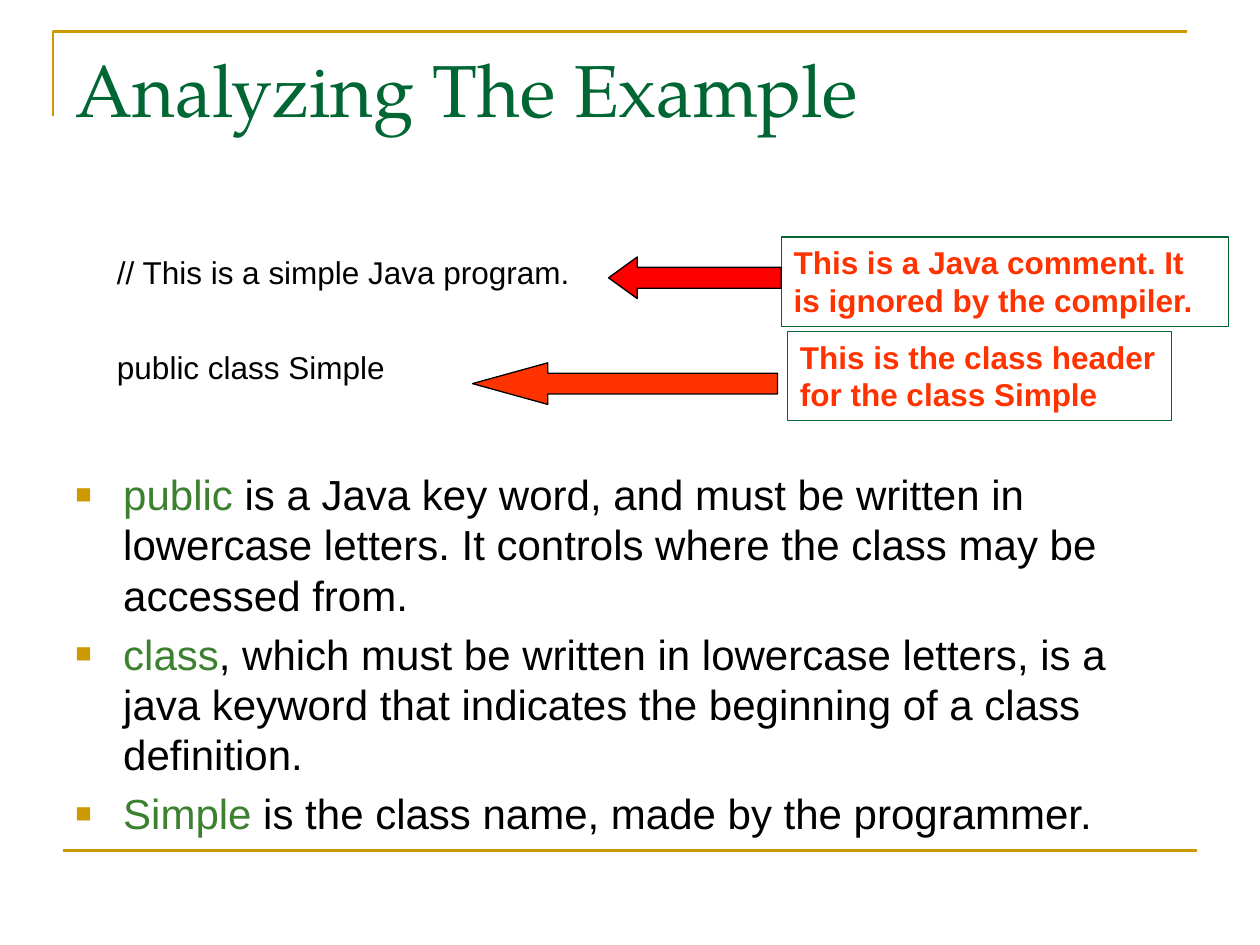
from lxml.etree import SubElement
from pptx import Presentation
from pptx.dml.color import RGBColor
from pptx.enum.shapes import MSO_CONNECTOR, MSO_SHAPE
from pptx.enum.text import MSO_ANCHOR, PP_ALIGN
from pptx.oxml.ns import qn
from pptx.util import Inches, Pt

# Content
COLORS = {"gold": "CC9900", "title": "006633", "keyword": "3B812F",
          "text": "000000", "note": "FF3300", "red": "FF0000"}
TITLE = "Analyzing The Example"
CODE = [  # text, left, top, width, height
    ("// This is a simple Java program.", 0.83, 1.96, 4.54, 0.58),
    ("public class Simple", 0.83, 2.71, 3.25, 0.58),
]
CALLOUTS = [  # note, its box, arrow box, arrow head ratio, arrow color
    ("This is a Java comment. It is ignored by the compiler.",
     (6.2, 1.88, 3.55, 0.71), (4.83, 2.04, 1.37, 0.33), 0.69, "red"),
    ("This is the class header\vfor the class Simple",
     (6.25, 2.63, 3.05, 0.71), (3.75, 2.88, 2.42, 0.33), 1.81, "note"),
]
POINTS = [  # keyword, explanation
    ("public", " is a Java key word, and must be written in lowercase letters. "
               "It controls where the class may be accessed from."),
    ("class", ", which must be written in lowercase letters, is a java keyword "
              "that indicates the beginning of a class definition."),
    ("Simple", " is the class name, made by the programmer."),
]


def rgb(name):
    return RGBColor.from_string(COLORS[name])


def box(left, top, width, height):
    return [Inches(v) for v in (left, top, width, height)]


def write(frame, paragraphs, size=18, font="Arial", bold=False, before=0, bullet=False):
    """Fill a frame; each paragraph is a list of (text, color) runs."""
    frame.word_wrap = True
    frame.vertical_anchor = MSO_ANCHOR.TOP
    for i, runs in enumerate(paragraphs):
        par = frame.add_paragraph() if i else frame.paragraphs[0]
        par.alignment = PP_ALIGN.LEFT
        par.space_before = Pt(before)
        for text, color in runs:
            # A vertical tab marks a line break
            for j, part in enumerate(text.split("\v")):
                if j:
                    par.add_line_break()
                run = par.add_run()
                run.text = part
                run.font.size, run.font.name, run.font.bold = Pt(size), font, bold
                run.font.color.rgb = rgb(color)
        if bullet:
            props = par._p.get_or_add_pPr()
            props.set("marL", str(Inches(0.38)))
            props.set("indent", str(-Inches(0.38)))
            SubElement(SubElement(props, qn("a:buClr")), qn("a:srgbClr"), val=COLORS["gold"])
            SubElement(props, qn("a:buSzPct"), val="65000")
            SubElement(props, qn("a:buFont"), typeface="Arial")
            SubElement(props, qn("a:buChar"), char="■")


def add_box(kind, place, line, fill=None):
    shape = slide.shapes.add_shape(kind, *box(*place))
    shape.shadow.inherit = False
    shape.line.color.rgb = rgb(line)
    shape.line.width = Pt(0.75)
    if fill:
        shape.fill.solid()
        shape.fill.fore_color.rgb = rgb(fill)
    else:
        shape.fill.background()
    return shape


prs = Presentation()
prs.slide_width, prs.slide_height = Inches(10), Inches(7.5)
slide = prs.slides.add_slide(prs.slide_layouts[5])

# Gold frame: corner at the top, rule at the bottom
pen = slide.shapes.build_freeform(Inches(0.42), Inches(0.92))
pen.add_line_segments([(Inches(0.42), Inches(0.25)), (Inches(9.42), Inches(0.25))], close=False)
corner = pen.convert_to_shape()
corner.fill.background()
corner.shadow.inherit = False
rule = slide.shapes.add_connector(MSO_CONNECTOR.STRAIGHT, *box(0.5, 6.75, 9.5, 6.75))
SubElement(rule._element.spPr, qn("a:effectLst"))
for edge in (corner, rule):
    edge.line.color.rgb = rgb("gold")
    edge.line.width = Pt(1.5)

# Title
title = slide.shapes.title
title.left, title.top, title.width, title.height = box(0.5, 0.3, 9, 1.25)
write(title.text_frame, [[(TITLE, "title")]], size=42, font="TeX Gyre Pagella")

# Explanations
points = slide.shapes.add_textbox(*box(0.5, 3.67, 8.83, 3.04))
write(points.text_frame, [[(word, "keyword"), (rest, "text")] for word, rest in POINTS],
      size=24, before=4.8, bullet=True)

# Code lines
for text, *place in CODE:
    code = slide.shapes.add_textbox(*box(*place))
    write(code.text_frame, [[(text, "text")]])

# Callouts with arrows
for text, note_place, arrow_place, head, color in CALLOUTS:
    note = add_box(MSO_SHAPE.RECTANGLE, note_place, "title")
    write(note.text_frame, [[(text, "note")]], bold=True)
    arrow = add_box(MSO_SHAPE.LEFT_ARROW, arrow_place, "text", fill=color)
    arrow.adjustments[0] = 0.5
    arrow.adjustments[1] = head

prs.save("out.pptx")
